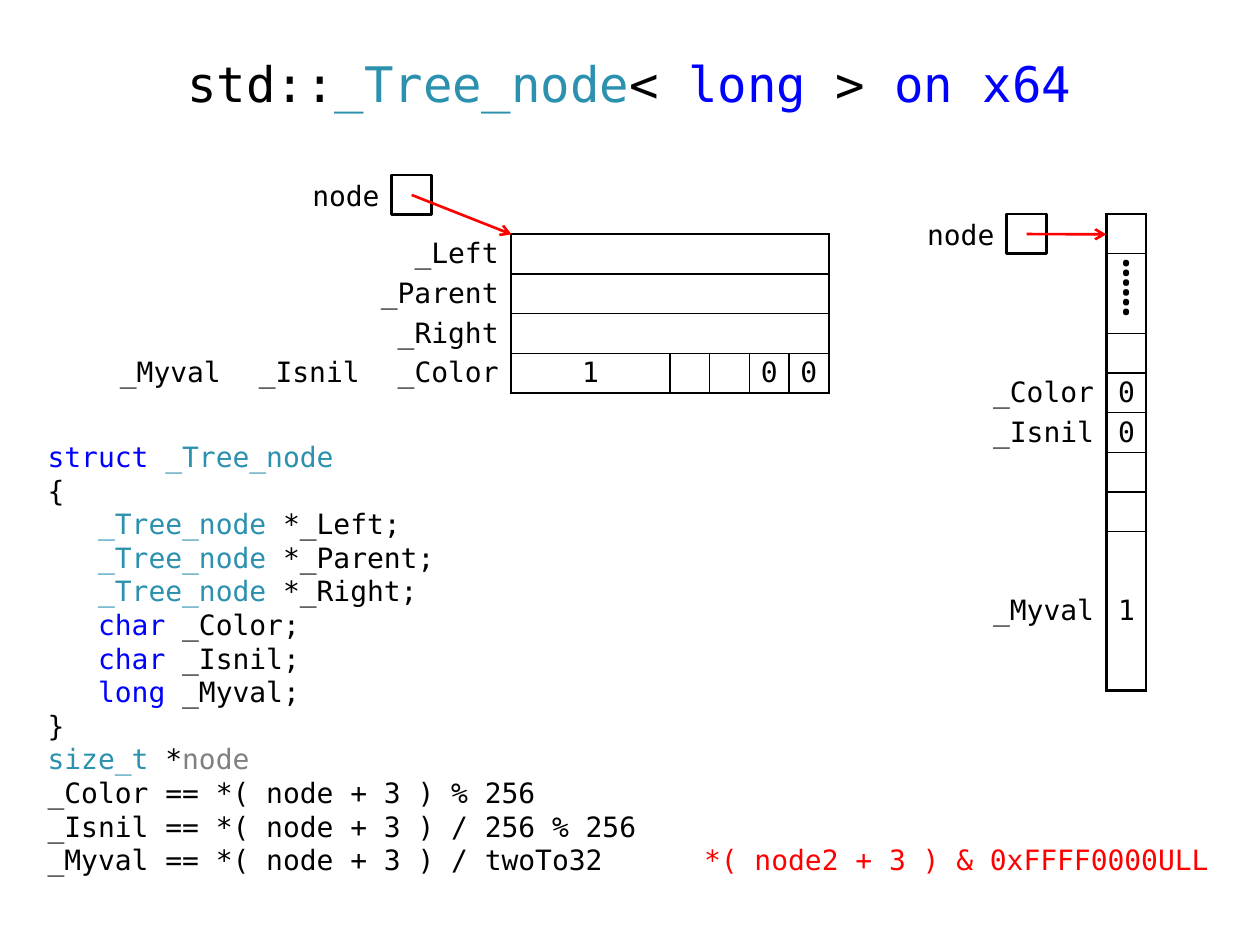
"""Build a slide on the memory layout of a tree node on x64."""
from dataclasses import dataclass

from lxml import etree
from pptx import Presentation
from pptx import util as u
from pptx.dml.color import RGBColor
from pptx.enum import shapes, text
from pptx.oxml import ns

BLACK = RGBColor(0x00, 0x00, 0x00)
WHITE = RGBColor(0xFF, 0xFF, 0xFF)
RED = RGBColor(0xFF, 0x00, 0x00)
KEYWORD = RGBColor(0x00, 0x00, 0xFF)
TYPE = RGBColor(0x2B, 0x91, 0xAF)
PARAMETER = RGBColor(0x80, 0x80, 0x80)

MONO = "DejaVu Sans Mono"
SERIF = "Times New Roman"
WORD = 1.26
BYTE = WORD / 4
LABEL = WORD * 7 / 8
HEAVY, THIN = 1.5, 0.75
LABEL_BORDERS = (0, HEAVY, 0, 0)
NO_BORDERS = (0, 0, 0, 0)

LEFT, CENTER, RIGHT = text.PP_ALIGN.LEFT, text.PP_ALIGN.CENTER, text.PP_ALIGN.RIGHT


@dataclass
class Run:
    text: str
    color: RGBColor = BLACK
    size: float = 16
    font: str = MONO


@dataclass
class Field:
    """A table cell; borders are left, right, top and bottom widths."""
    row: int
    column: int
    run: Run
    borders: tuple = NO_BORDERS
    align: text.PP_ALIGN = CENTER
    rows: int = 1
    columns: int = 1
    bottom: float = 0


@dataclass
class Pointer:
    left: float
    top: float
    target: tuple


def add_runs(paragraph, runs: list[Run]) -> None:
    for item in runs:
        run = paragraph.add_run()
        run.text = item.text
        run.font.name = item.font
        run.font.size = u.Pt(item.size)
        run.font.color.rgb = item.color


def set_borders(cell, widths: tuple) -> None:
    properties = cell._tc.get_or_add_tcPr()
    for side, width in zip("LRTB", widths):
        line = etree.SubElement(properties, ns.qn(f"a:ln{side}"), w=str(u.Pt(width)))
        if width:
            fill = etree.SubElement(line, ns.qn("a:solidFill"))
            etree.SubElement(fill, ns.qn("a:srgbClr"), val=str(BLACK))
        else:
            etree.SubElement(line, ns.qn("a:noFill"))


def add_memory_table(slide, left: float, top: float, columns: list[float],
                     rows: list[float], fields: list[Field]) -> None:
    table = slide.shapes.add_table(
        len(rows), len(columns), u.Inches(left), u.Inches(top),
        u.Inches(sum(columns)), u.Inches(sum(rows))).table
    table.first_row = table.horz_banding = False
    for column, width in zip(table.columns, columns):
        column.width = u.Inches(width)
    for row, height in zip(table.rows, rows):
        row.height = u.Inches(height)
    for field in fields:
        last_row = field.row + field.rows - 1
        last_column = field.column + field.columns - 1
        for row in range(field.row, last_row + 1):
            for column in range(field.column, last_column + 1):
                cell = table.cell(row, column)
                set_borders(cell, field.borders)
                cell.fill.background()
                cell.margin_top, cell.margin_bottom = 0, u.Inches(field.bottom)
                cell.margin_left = cell.margin_right = u.Inches(0.08 if field.align == CENTER else 0.1)
                cell.vertical_anchor = text.MSO_ANCHOR.MIDDLE
                cell.text_frame.paragraphs[0].font.size = u.Pt(field.run.size)
        cell = table.cell(field.row, field.column)
        if field.rows * field.columns > 1:
            cell.merge(table.cell(last_row, last_column))
        if field.run.text:
            paragraph = cell.text_frame.paragraphs[0]
            paragraph.alignment = field.align
            add_runs(paragraph, [field.run])


def add_word_table(slide) -> None:
    fields = []
    for row, name in enumerate(["_Left", "_Parent", "_Right"]):
        fields.append(Field(row, 0, Run(name), LABEL_BORDERS, RIGHT, columns=3))
        borders = (HEAVY, HEAVY, THIN if row else HEAVY, THIN)
        fields.append(Field(row, 3, Run(""), borders, columns=5))
    for column, name in enumerate(["_Myval", "_Isnil", "_Color"]):
        borders = LABEL_BORDERS if column == 2 else NO_BORDERS
        fields.append(Field(3, column, Run(name), borders, RIGHT))
    for column, value in enumerate(["1", "", "", "0", "0"], start=3):
        borders = (HEAVY if column == 3 else THIN, HEAVY if column == 7 else THIN, THIN, HEAVY)
        fields.append(Field(3, column, Run(value), borders))
    add_memory_table(slide, 0.75, 1.86, [LABEL] * 3 + [WORD] + [BYTE] * 4, [BYTE] * 4, fields)


def add_byte_table(slide) -> None:
    names = {4: "_Color", 5: "_Isnil", 8: "_Myval"}
    values = {1: "⸽", 4: "0", 5: "0", 8: "1"}
    fields = []
    for row in range(9):
        fields.append(Field(row, 0, Run(names.get(row, "")), LABEL_BORDERS, RIGHT))
        if row == 2:
            continue
        borders = (HEAVY, HEAVY, THIN if row else HEAVY, HEAVY if row == 8 else THIN)
        field = Field(row, 1, Run(values.get(row, "")), borders)
        if row == 1:
            field.run.size, field.run.font = 28, SERIF
            field.rows, field.bottom = 2, 0.08
        fields.append(field)
    add_memory_table(slide, 7.68, 1.7, [LABEL, BYTE], [BYTE] * 8 + [WORD], fields)


def add_pointer(slide, pointer: Pointer) -> None:
    width = 0.79
    label = slide.shapes.add_textbox(u.Inches(pointer.left - width), u.Inches(pointer.top),
                                     u.Inches(width), u.Inches(BYTE))
    frame = label.text_frame
    frame.word_wrap = True
    frame.margin_top = frame.margin_bottom = 0
    frame.vertical_anchor = text.MSO_ANCHOR.MIDDLE
    frame.paragraphs[0].alignment = RIGHT
    add_runs(frame.paragraphs[0], [Run("node")])

    box = slide.shapes.add_shape(shapes.MSO_SHAPE.RECTANGLE, u.Inches(pointer.left),
                                 u.Inches(pointer.top), u.Inches(BYTE), u.Inches(BYTE))
    box.shadow.inherit = False
    box.fill.solid()
    box.fill.fore_color.rgb = WHITE
    box.line.color.rgb = BLACK
    box.line.width = u.Pt(HEAVY)

    arrow = slide.shapes.add_connector(
        shapes.MSO_CONNECTOR.STRAIGHT, u.Inches(pointer.left + BYTE / 2),
        u.Inches(pointer.top + BYTE / 2), *map(u.Inches, pointer.target))
    arrow.line.color.rgb = RED
    arrow.line.width = u.Pt(HEAVY)
    etree.SubElement(arrow.line._get_or_add_ln(), ns.qn("a:tailEnd"), type="arrow")
    etree.SubElement(arrow._element.spPr, ns.qn("a:effectLst"))


def add_code(slide) -> None:
    members = [("_Tree_node", TYPE, " *_Left;"), ("_Tree_node", TYPE, " *_Parent;"),
               ("_Tree_node", TYPE, " *_Right;"), ("char", KEYWORD, " _Color;"),
               ("char", KEYWORD, " _Isnil;"), ("long", KEYWORD, " _Myval;")]
    lines = [
        [Run("struct ", KEYWORD), Run("_Tree_node", TYPE)],
        [Run("{")],
        *[[Run("   "), Run(kind, color), Run(name)] for kind, color, name in members],
        [Run("}")],
        [Run("size_t", TYPE), Run(" *"), Run("node", PARAMETER)],
        [Run("_Color == *( node + 3 ) % 256")],
        [Run("_Isnil == *( node + 3 ) / 256 % 256")],
        [Run("_Myval == *( node + 3 ) / twoTo32\t"), Run("*( node2 + 3 ) & 0xFFFF0000ULL", RED)],
    ]
    frame = slide.shapes.add_textbox(u.Inches(0.28), u.Inches(3.44),
                                     u.Inches(9.45), u.Inches(3.62)).text_frame
    frame.word_wrap = False
    for index, runs in enumerate(lines):
        paragraph = frame.add_paragraph() if index else frame.paragraphs[0]
        paragraph.alignment = LEFT
        paragraph.line_spacing = u.Pt(19.2)
        add_runs(paragraph, runs)
    tabs = etree.SubElement(paragraph._p.get_or_add_pPr(), ns.qn("a:tabLst"))
    etree.SubElement(tabs, ns.qn("a:tab"), pos=str(u.Inches(5.21)), algn="l")


def add_title(slide) -> None:
    title = slide.shapes.title
    title.left, title.top, title.width, title.height = map(u.Inches, (0.43, 0.29, 9.13, 0.79))
    title.text_frame.vertical_anchor = text.MSO_ANCHOR.MIDDLE
    paragraph = title.text_frame.paragraphs[0]
    paragraph.alignment = CENTER
    paragraph.line_spacing = 0.9
    parts = [("std::", BLACK), ("_Tree_node", TYPE), ("< ", BLACK), ("long", KEYWORD),
             (" >", BLACK), (" on x64", KEYWORD)]
    add_runs(paragraph, [Run(part, color, 28) for part, color in parts])


def main() -> None:
    presentation = Presentation()
    presentation.slide_width, presentation.slide_height = u.Inches(10), u.Inches(7.5)
    slide = presentation.slides.add_slide(presentation.slide_layouts[5])
    add_title(slide)
    add_code(slide)
    add_word_table(slide)
    add_byte_table(slide)
    for pointer in (Pointer(7.99, 1.7, (8.78, 1.86)), Pointer(3.11, 1.39, (4.06, 1.86))):
        add_pointer(slide, pointer)
    presentation.save("out.pptx")


if __name__ == "__main__":
    main()
